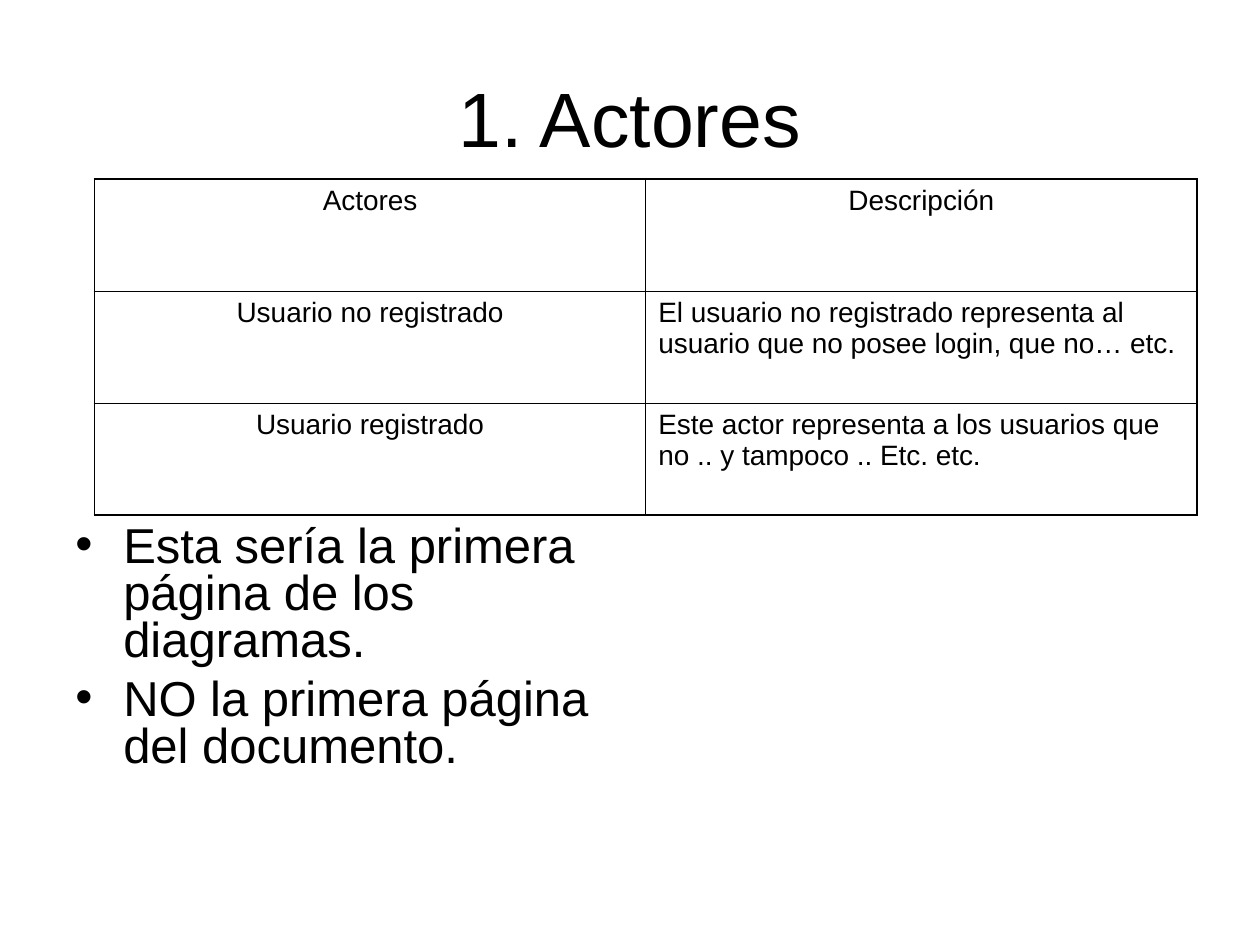
from dataclasses import dataclass

from lxml.etree import SubElement
from pptx import Presentation
from pptx.dml.color import RGBColor
from pptx.enum.text import MSO_ANCHOR as Anchor, PP_ALIGN as Align
from pptx.oxml import parse_xml
from pptx.oxml.ns import nsdecls, qn
from pptx.util import Inches, Pt

BLACK = RGBColor(0x00, 0x00, 0x00)
WHITE = RGBColor(0xFF, 0xFF, 0xFF)
FONT = "Arial"
OUTER, INNER = Pt(1.08), Pt(0.45)


@dataclass
class Actor:
    name: str
    description: str


HEADER = Actor("Actores", "Descripción")
ACTORS = [
    Actor("Usuario no registrado",
          "El usuario no registrado representa al usuario que no posee login, que no… etc."),
    Actor("Usuario registrado",
          "Este actor representa a los usuarios que no .. y tampoco .. Etc. etc."),
]
NOTES = ["Esta sería la primera página de los diagramas.",
         "NO la primera página del documento."]


def write(para, text: str, size: float, align=Align.LEFT) -> None:
    para.text = text
    para.alignment = align
    for span in para.runs:
        span.font.name = FONT
        span.font.size = Pt(size)
        span.font.color.rgb = BLACK


def set_borders(cell, widths: dict[str, int]) -> None:
    properties = cell._tc.get_or_add_tcPr()
    for index, (side, width) in enumerate(widths.items()):
        properties.insert(index, parse_xml(
            f'<a:ln{side} {nsdecls("a")} w="{int(width)}"><a:solidFill>'
            f'<a:srgbClr val="{BLACK}"/></a:solidFill></a:ln{side}>'))


def add_actor_table(page, actors: list[Actor]) -> None:
    last = len(actors) - 1
    frame = page.shapes.add_table(len(actors), 2, Inches(0.75), Inches(1.42),
                                  Inches(8.75), Inches(2.67))
    table = frame.table
    table.first_row = table.horz_banding = False
    for row, actor in enumerate(actors):
        for column, text in enumerate((actor.name, actor.description)):
            cell = table.cell(row, column)
            centred = row == 0 or column == 0
            para = cell.text_frame.paragraphs[0]
            write(para, text, 16, Align.CENTER if centred else Align.LEFT)
            para.space_before = Pt(4)
            cell.fill.background()
            set_borders(cell, {
                "L": OUTER if column == 0 else INNER,
                "R": OUTER if column == 1 else INNER,
                "T": OUTER if row == 0 else INNER,
                "B": OUTER if row == last else INNER,
            })


def add_bullets(page, notes: list[str]) -> None:
    box = page.shapes.add_textbox(Inches(0.5), Inches(1.75), Inches(4.42), Inches(4.95))
    frame = box.text_frame
    frame.word_wrap = True
    frame.margin_top = Inches(2.42)  # starts the list below the table
    for index, note in enumerate(notes):
        para = frame.add_paragraph() if index else frame.paragraphs[0]
        write(para, note, 28)
        para.line_spacing = 0.8
        para.space_before = Pt(7)
        properties = para._p.get_or_add_pPr()
        properties.set("marL", str(Inches(0.38)))
        properties.set("indent", str(-Inches(0.38)))
        colour = SubElement(properties, qn("a:buClr"))
        SubElement(colour, qn("a:srgbClr"), val=str(BLACK))
        SubElement(properties, qn("a:buFont"), typeface=FONT)
        SubElement(properties, qn("a:buChar"), char="•")


def main() -> None:
    deck = Presentation()
    deck.slide_width, deck.slide_height = Inches(10), Inches(7.5)
    page = deck.slides.add_slide(deck.slide_layouts[5])
    page.background.fill.solid()
    page.background.fill.fore_color.rgb = WHITE

    # Title
    title = page.shapes.title
    title.left, title.top = Inches(0.5), Inches(0.3)
    title.width, title.height = Inches(9), Inches(1.25)
    title.text_frame.vertical_anchor = Anchor.MIDDLE
    write(title.text_frame.paragraphs[0], "1. Actores", 44, Align.CENTER)

    # Notes under the table, then the table of actors
    add_bullets(page, NOTES)
    add_actor_table(page, [HEADER, *ACTORS])

    deck.save("out.pptx")


if __name__ == "__main__":
    main()
